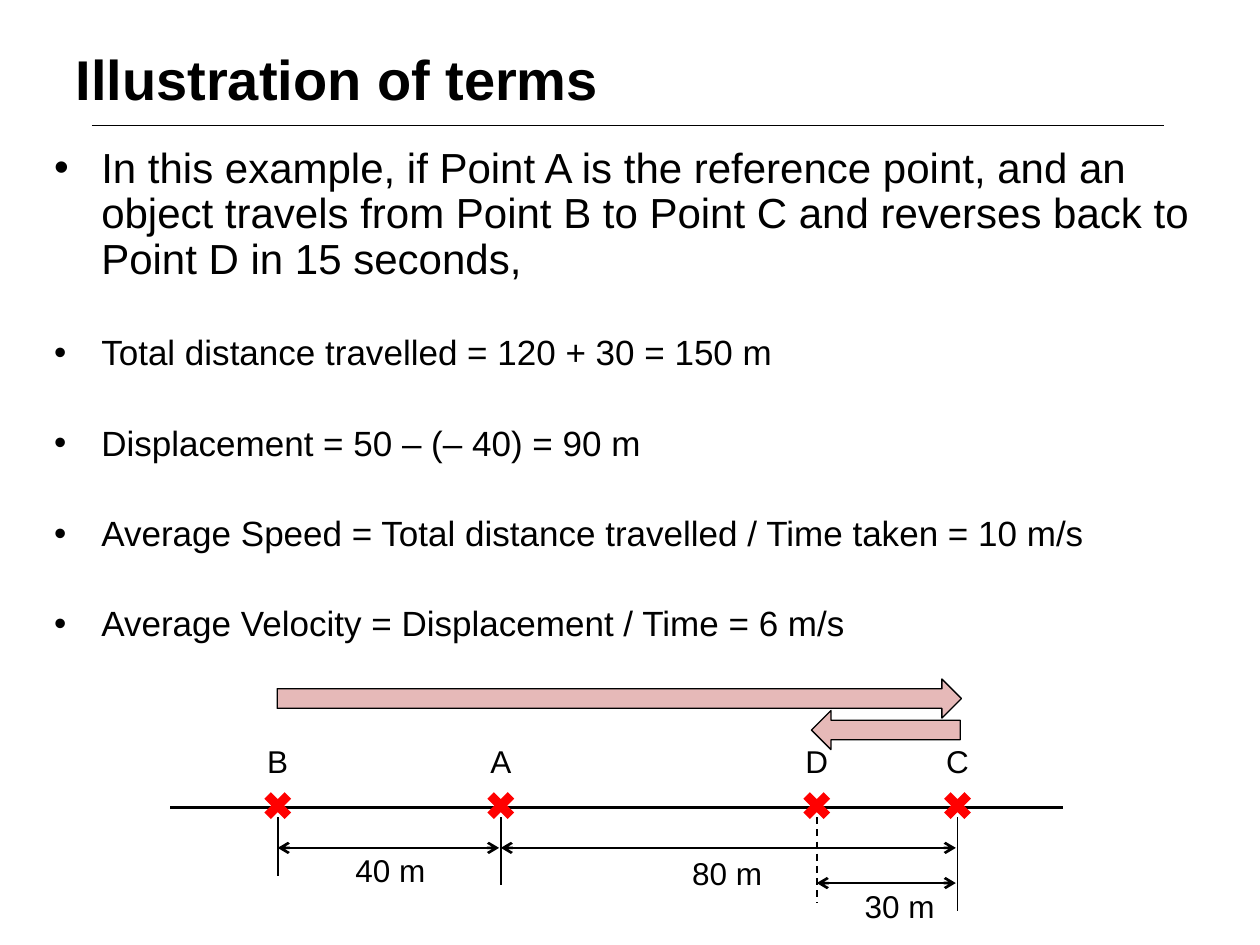
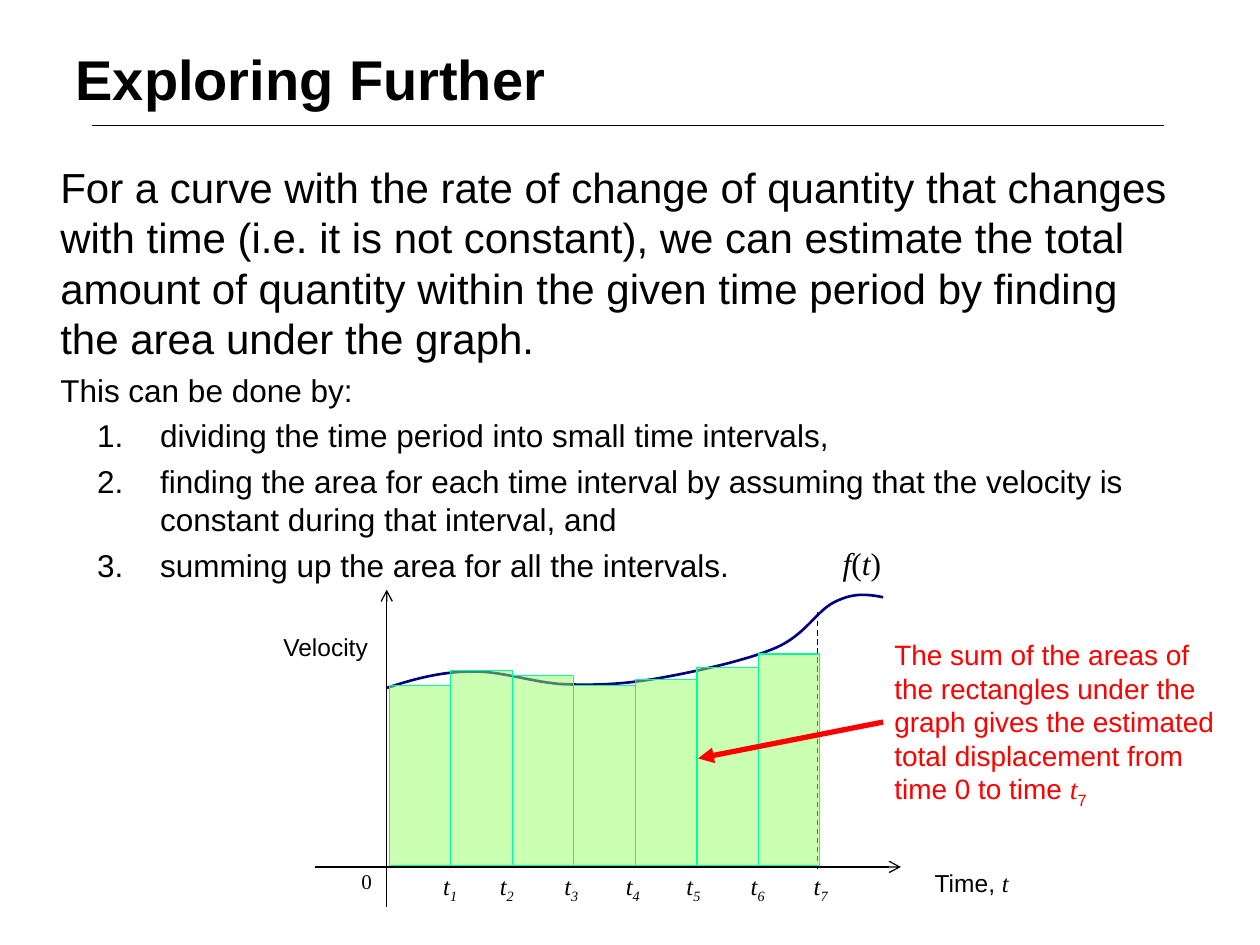
from lxml import etree
from pptx import Presentation
from pptx import util as u
from pptx.dml.color import RGBColor
from pptx.enum import dml, shapes, text
from pptx.oxml.ns import qn

Pt = u.Pt
BLACK = RGBColor(0x00, 0x00, 0x00)
RED = RGBColor(0xFF, 0x00, 0x00)
PINK = RGBColor(0xE6, 0xB9, 0xB8)
NAVY = RGBColor(0x00, 0x00, 0x80)
LIME = RGBColor(0x99, 0xFF, 0x66)
MINT = RGBColor(0x00, 0xFF, 0x99)
SANS, SERIF = "Arial", "Times New Roman"
CENTER, LEFT = text.PP_ALIGN.CENTER, text.PP_ALIGN.LEFT
SHAPE = shapes.MSO_SHAPE


def add_run(p, words, size, font=SANS, color=BLACK, italic=False, bold=False, sub=False):
    """Append one formatted run to a paragraph."""
    r = p.add_run()
    r.text = words
    f = r.font
    f.size, f.name, f.italic, f.bold = Pt(size), font, italic, bold
    f.color.rgb = color
    if sub:
        r._r.get_or_add_rPr().set("baseline", "-25000")


def add_box(s, left, top, width, height):
    """Add a wrapping text box and return its text frame."""
    tf = s.shapes.add_textbox(Pt(left), Pt(top), Pt(width), Pt(height)).text_frame
    tf.word_wrap = True
    return tf


def add_label(s, left, top, width, height, runs, align=LEFT):
    """Add a one-paragraph label made of (words, size, options) runs."""
    p = add_box(s, left, top, width, height).paragraphs[0]
    p.alignment = align
    for words, size, options in runs:
        add_run(p, words, size, **options)


def add_bullet(p, tag, attr, value, left, hang):
    """Give a paragraph a bullet or number with a hanging indent."""
    pPr = p._p.get_or_add_pPr()
    pPr.set("marL", str(Pt(left)))
    pPr.set("indent", str(-Pt(hang)))
    if tag == "a:buChar":
        etree.SubElement(pPr, qn("a:buFont")).set("typeface", SANS)
    etree.SubElement(pPr, qn(tag)).set(attr, value)


def add_line(s, x1, y1, x2, y2, width, color=BLACK, head=None, tail=None, dash=False):
    """Draw a straight line with optional arrowheads."""
    c = s.shapes.add_connector(shapes.MSO_CONNECTOR.STRAIGHT, Pt(x1), Pt(y1), Pt(x2), Pt(y2))
    c.line.color.rgb = color
    c.line.width = Pt(width)
    if dash:
        c.line.dash_style = dml.MSO_LINE.DASH
    spPr = c._element.spPr
    for tag, kind in (("a:headEnd", head), ("a:tailEnd", tail)):
        if kind:
            etree.SubElement(spPr.find(qn("a:ln")), qn(tag)).set("type", kind)
    etree.SubElement(spPr, qn("a:effectLst"))


def add_shape(s, kind, left, top, width, height, fill, line=None, alpha=None):
    """Add a flat preset shape."""
    sp = s.shapes.add_shape(kind, Pt(left), Pt(top), Pt(width), Pt(height))
    sp.shadow.inherit = False
    sp.fill.solid()
    sp.fill.fore_color.rgb = fill
    if alpha:
        color = sp._element.spPr.find(qn("a:solidFill")).find(qn("a:srgbClr"))
        etree.SubElement(color, qn("a:alpha")).set("val", str(alpha * 1000))
    if line is None:
        sp.line.fill.background()
    else:
        sp.line.color.rgb = line
        sp.line.width = Pt(0.75)
    return sp


def add_titled_slide(prs, words):
    """Add a slide with the shared title style and rule."""
    s = prs.slides.add_slide(prs.slide_layouts[5])
    title = s.shapes.title
    title.left, title.top, title.width, title.height = Pt(36), Pt(21.6), Pt(648), Pt(90)
    tf = title.text_frame
    tf.vertical_anchor = text.MSO_ANCHOR.TOP
    tf.auto_size = text.MSO_AUTO_SIZE.NONE
    tf.paragraphs[0].alignment = LEFT
    add_run(tf.paragraphs[0], words, 32, bold=True)
    add_line(s, 52.5, 71.3, 665.3, 71.3, 0.25)
    return s


def add_worked_example(s, left, top, width, height):
    """Place the bulleted worked example."""
    lines = [
        ("In this example, if Point A is the reference point, and an object travels from "
         "Point B to Point C and reverses back to Point D in 15 seconds,", 24),
        ("Total distance travelled = 120 + 30 = 150 m", 20),
        ("Displacement = 50 – (– 40) = 90 m", 20),
        ("Average Speed = Total distance travelled / Time taken = 10 m/s", 20),
        ("Average Velocity = Displacement / Time = 6 m/s", 20),
    ]
    tf = add_box(s, left, top, width, height)
    for i, (words, size) in enumerate(lines):
        p = tf.add_paragraph() if i else tf.paragraphs[0]
        p.line_spacing = 0.9
        p.space_before = Pt(30)
        add_bullet(p, "a:buChar", "char", "•", 27, 27)
        add_run(p, words, size)


def add_number_line(s, left, top):
    """Draw the journey B to C to D on a number line."""
    points = {"A": 189, "B": 61.5, "C": 450, "D": 369.5}
    tick_ends = {"A": 118, "B": 112.3, "C": 132.5, "D": 128}
    cross = 22.3
    add_line(s, left, top + 73.4, left + 510.5, top + 73.4, 2)
    for name, offset in points.items():
        x = left + offset
        add_shape(s, SHAPE.MATH_MULTIPLY, x - cross / 2, top + 61.2, cross, cross, RED)
        add_label(s, x - 19.5, top + 32.4, 39, 28.8, [(name, 18, {})], CENTER)
        add_line(s, x, top + 79, x, top + tick_ends[name], 1, dash=name == "D")

    add_shape(s, SHAPE.RIGHT_ARROW, left + 61.2, top, 391, cross, PINK, BLACK)
    back = add_shape(s, SHAPE.RIGHT_ARROW, left + 366.5, top + 18, 85, cross, PINK, BLACK)
    back._element.spPr.find(qn("a:xfrm")).set("flipH", "1")

    spans = [("B", "A", 96.5, "40 m", 98.6, 95), ("A", "C", 96.5, "80 m", 291, 96.5),
             ("D", "C", 116.6, "30 m", 389.5, 115.2)]
    for start, end, y, words, label_x, label_y in spans:
        add_line(s, left + points[start], top + y, left + points[end] - 1, top + y, 1.5,
                 head="arrow", tail="arrow")
        add_label(s, left + label_x, top + label_y, 54.7, 28.8, [(words, 18, {})], CENTER)


def add_method(s, left, top, width, height):
    """Place the explanation and its numbered steps."""
    intro = [
        ("For a curve with the rate of change of quantity that changes with time (i.e. it is "
         "not constant), we can estimate the total amount of quantity within the given time "
         "period by finding the area under the graph.", 24),
        ("This can be done by:", 18),
    ]
    steps = [
        "dividing the time period into small time intervals,",
        "finding the area for each time interval by assuming that the velocity is constant "
        "during that interval, and",
        "summing up the area for all the intervals.",
    ]
    tf = add_box(s, left, top, width, height)
    for i, (words, size) in enumerate(intro + [(step, 18) for step in steps]):
        p = tf.add_paragraph() if i else tf.paragraphs[0]
        p.space_before = Pt(4.5)
        if i >= len(intro):
            p.level = 1
            add_bullet(p, "a:buAutoNum", "type", "arabicPeriod", 57, 36)
        add_run(p, words, size)


def bezier(p0, p1, p2, p3, steps=16):
    """Return points along a cubic curve, without its start."""
    result = []
    for k in range(1, steps + 1):
        t = k / steps
        weights = ((1 - t) ** 3, 3 * t * (1 - t) ** 2, 3 * t * t * (1 - t), t ** 3)
        result.append(tuple(sum(w * q[axis] for w, q in zip(weights, (p0, p1, p2, p3)))
                            for axis in (0, 1)))
    return result


def add_curve(s, left, top):
    """Draw the velocity curve through its control points."""
    nodes = [(85, 86.1), (100.2, 81.1), (116, 76.8), (132.6, 76.8),
             (149.8, 76), (168.6, 83.2), (186.6, 84),
             (204.6, 84.7), (221.1, 84), (241.3, 80.4),
             (261.4, 76.8), (291, 70.3), (307.5, 63.1),
             (324.1, 55.9), (330.6, 42.2), (340.6, 37.2),
             (350.7, 32.1), (357.9, 32.1), (368.7, 34.3)]
    curve = [nodes[0]]
    for i in range(0, len(nodes) - 1, 3):
        curve += bezier(*nodes[i:i + 4])
    curve = [(Pt(left + x), Pt(top + y)) for x, y in curve]
    builder = s.shapes.build_freeform(*curve[0])
    builder.add_line_segments(curve[1:], close=False)
    sp = builder.convert_to_shape()
    sp.shadow.inherit = False
    sp.fill.background()
    sp.line.color.rgb = NAVY
    sp.line.width = Pt(1.5)


def add_area_graph(s, left, top):
    """Draw the velocity graph with its rectangles and callout."""
    math = {"font": SERIF, "italic": True}
    upright = {"font": SERIF}
    bar_tops = [84.7, 76, 78.9, 84.7, 81.1, 74.6, 66.7]
    time_lefts = [110.2, 142.6, 179.4, 214.6, 249.2, 285.9, 321.9]
    base, pitch = 187.6, 35.15

    add_line(s, left + 85, top + 30, left + 85, top + 211.4, 0.75, head="arrow")
    add_line(s, left + 44, top + 188.4, left + 378.8, top + 188.4, 0.75, tail="arrow")
    add_label(s, left + 0.8, top + 50.8, 98.6, 24.5, [("Velocity", 14, {})], CENTER)
    add_label(s, left + 391, top + 185.5, 90, 24.5, [("Time, ", 14, {}), ("t", 14, math)])
    add_label(s, left + 338.5, top + 0.4, 41, 28.8,
              [("f", 18, math), ("(", 18, upright), ("t", 18, math), (")", 18, upright)])
    add_label(s, left + 63.4, top + 185.5, 56, 40, [("0", 12, upright)])

    add_curve(s, left, top)
    add_line(s, left + 331.3, top + 42.9, left + 331.3, top + 189.8, 0.75, dash=True)
    for i, (bar_top, time_left) in enumerate(zip(bar_tops, time_lefts)):
        add_shape(s, SHAPE.RECTANGLE, left + 86.5 + i * pitch, top + bar_top, pitch,
                  base - bar_top, LIME, MINT, alpha=50)
        add_label(s, left + time_left, top + 187, 56, 40,
                  [("t", 14, math), (str(i + 1), 14, {**math, "sub": True})])

    add_label(s, left + 368, top + 53.7, 201, 104.4, [
        ("The sum of the areas of the rectangles under the graph gives the estimated total "
         "displacement from time 0 to time ", 16, {"color": RED}),
        ("t", 16, {**math, "color": RED}),
        ("7", 16, {"color": RED, "sub": True})])
    add_line(s, left + 368.7, top + 105.6, left + 262.9, top + 126.4, 3, RED, tail="triangle")


def main():
    """Build and save both slides."""
    prs = Presentation()
    prs.slide_width, prs.slide_height = Pt(720), Pt(540)

    s = add_titled_slide(prs, "Illustration of terms")
    add_worked_example(s, 23.8, 80.6, 669.6, 356.4)
    add_number_line(s, 97.2, 388)

    s = add_titled_slide(prs, "Exploring Further")
    add_method(s, 27.4, 88.6, 648, 198)
    add_area_graph(s, 136, 307)

    prs.save("out.pptx")


if __name__ == "__main__":
    main()
